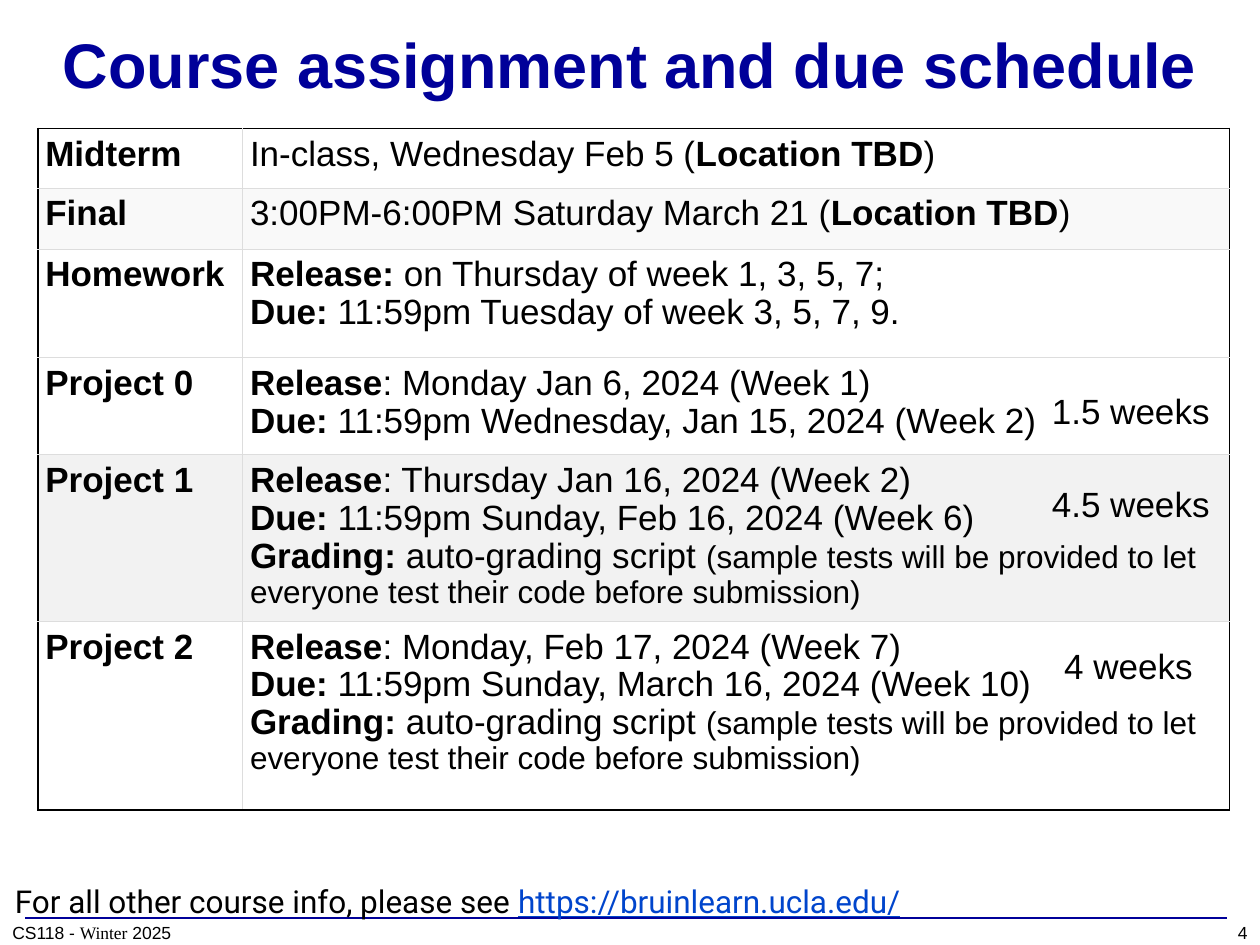
from lxml.etree import SubElement
from pptx import Presentation
from pptx.dml.color import RGBColor as RGB
from pptx.enum.shapes import MSO_CONNECTOR as Connector
from pptx.enum.text import MSO_ANCHOR as Anchor, PP_ALIGN as Align
from pptx.oxml.ns import qn
from pptx.util import Pt

COLORS = {
    "navy": "000099", "black": "000000", "link": "0045CC", "white": "FFFFFF",
    "grid": "DDDDDD", "pale": "F9F9F9", "gray": "F2F2F2",
}
PLAIN = {"name": "Arial", "size": 20, "color": "black", "bold": False}
BOLD = PLAIN | {"bold": True}
SMALL = PLAIN | {"size": 18}
TITLE = BOLD | {"size": 36, "color": "navy"}
FOOTER = PLAIN | {"size": 10}
SERIF = FOOTER | {"name": "Times New Roman"}
INFO = SMALL | {"name": "Roboto"}
LINK = INFO | {"color": "link", "underline": True}


class SlideBuilder:
    def __init__(self, slide):
        self.slide = slide

    def fill_text(self, frame, paragraphs, align=Align.LEFT, spacing=1.0):
        for index, runs in enumerate(paragraphs):
            paragraph = frame.add_paragraph() if index else frame.paragraphs[0]
            paragraph.alignment = align
            paragraph.line_spacing = spacing
            for text, style in runs:
                run = paragraph.add_run()
                run.text = text
                for key, value in style.items():
                    if key == "color":
                        run.font.color.rgb = RGB.from_string(COLORS[value])
                    else:
                        setattr(run.font, key, Pt(value) if key == "size" else value)

    def text(self, box, runs, align=Align.LEFT, anchor=Anchor.TOP):
        shape = self.slide.shapes.add_textbox(*map(Pt, box))
        frame = shape.text_frame
        frame.word_wrap = True
        frame.vertical_anchor = anchor
        self.fill_text(frame, [runs], align)

    def line(self, start, end, color, width):
        line = self.slide.shapes.add_connector(Connector.STRAIGHT, *map(Pt, start + end))
        line.line.color.rgb = RGB.from_string(COLORS[color])
        line.line.width = Pt(width)
        SubElement(line._element.spPr, qn("a:effectLst"))

    def borders(self, cell, outer_edges):
        properties = cell._tc.get_or_add_tcPr()
        for position, edge in enumerate("LRTB"):
            color, width = ("black", 1) if edge in outer_edges else ("grid", 0.5)
            border = SubElement(properties, qn(f"a:ln{edge}"), w=str(Pt(width)))
            properties.remove(border)
            properties.insert(position, border)
            fill = SubElement(border, qn("a:solidFill"))
            SubElement(fill, qn("a:srgbClr"), val=COLORS[color])

    def table(self, origin, widths, rows):
        size = sum(widths), sum(row[0] for row in rows)
        frame = self.slide.shapes.add_table(
            len(rows), len(widths), *map(Pt, origin + size))
        table = frame.table
        for column, width in zip(table.columns, widths):
            column.width = Pt(width)
        cell_format = {
            "margin_left": Pt(4.3), "margin_right": Pt(4.3),
            "margin_top": Pt(4.3), "margin_bottom": 0,
        }
        for row_index, (height, color, label, details) in enumerate(rows):
            table.rows[row_index].height = Pt(height)
            for column_index, content in enumerate(([[(label, BOLD)]], details)):
                cell = table.cell(row_index, column_index)
                for key, value in cell_format.items():
                    setattr(cell, key, value)
                cell.fill.solid()
                cell.fill.fore_color.rgb = RGB.from_string(COLORS[color])
                edges = "LR"[column_index]
                edges += "T" if row_index == 0 else ""
                edges += "B" if row_index == len(rows) - 1 else ""
                self.borders(cell, edges)
                self.fill_text(cell.text_frame, content, spacing=0.97)


def exam(time):
    return [[(f"{time} (", PLAIN), ("Location TBD", BOLD), (")", PLAIN)]]


def dates(release, due):
    return [
        [("Release", BOLD), (f": {release}", PLAIN)],
        [("Due:", BOLD), (f" {due}", PLAIN)],
    ]


def main():
    presentation = Presentation()
    presentation.slide_width, presentation.slide_height = Pt(720), Pt(540)
    builder = SlideBuilder(presentation.slides.add_slide(presentation.slide_layouts[6]))

    grading = [
        ("Grading:", BOLD), (" auto-grading script ", PLAIN),
        ("(sample tests will be provided to let everyone test "
         "their code before submission)", SMALL),
    ]
    homework = [
        [("Release:", BOLD), (" on Thursday of week 1, 3, 5, 7;", PLAIN)],
        [("Due:", BOLD), (" 11:59pm Tuesday of week 3, 5, 7, 9.", PLAIN)],
    ]
    project_0 = dates("Monday Jan 6, 2024 (Week 1)",
                      "11:59pm Wednesday, Jan 15, 2024 (Week 2)")
    project_1 = dates("Thursday Jan 16, 2024 (Week 2)",
                      "11:59pm Sunday, Feb 16, 2024 (Week 6)")
    project_2 = dates("Monday, Feb 17, 2024 (Week 7)",
                      "11:59pm Sunday, March 16, 2024 (Week 10)")
    schedule = [
        (34, "white", "Midterm", exam("In-class, Wednesday Feb 5")),
        (35, "pale", "Final", exam("3:00PM-6:00PM Saturday March 21")),
        (62, "white", "Homework", homework),
        (55.5, "white", "Project 0", project_0),
        (92, "gray", "Project 1", project_1 + [grading]),
        (108, "white", "Project 2", project_2 + [grading]),
    ]

    builder.line((14.4, 524.6), (701.3, 524.6), "navy", 1)
    builder.text((0, 0, 720, 72), [("Course assignment and due schedule", TITLE)],
                 Align.CENTER, Anchor.MIDDLE)
    builder.text((0, 525.6, 144, 14.4),
                 [("CS118 - ", FOOTER), ("Winter", SERIF), (" 2025", FOOTER)],
                 anchor=Anchor.MIDDLE)
    builder.text((684, 525.6, 36, 14.4), [("4", FOOTER)], Align.RIGHT, Anchor.MIDDLE)
    builder.table((21.6, 73.4), (117, 564), schedule)
    builder.text((1.4, 500.4, 714, 29),
                 [("For all other course info, please see ", INFO),
                  ("https://bruinlearn.ucla.edu/", LINK)])
    for left, top, duration in (
        (594, 219, "1.5 weeks"), (594, 272, "4.5 weeks"), (601, 365, "4 weeks"),
    ):
        builder.text((left, top, 105, 31.5), [(duration, PLAIN)])

    presentation.save("out.pptx")


if __name__ == "__main__":
    main()
